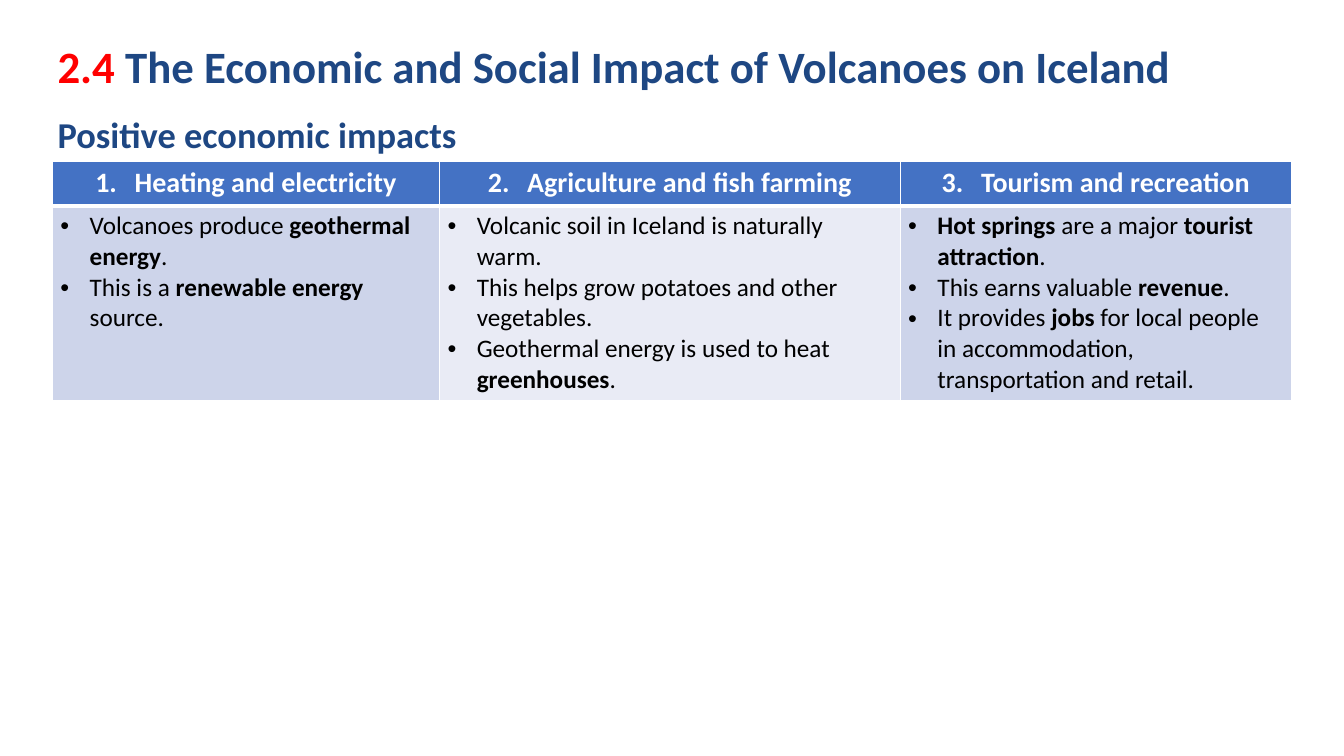
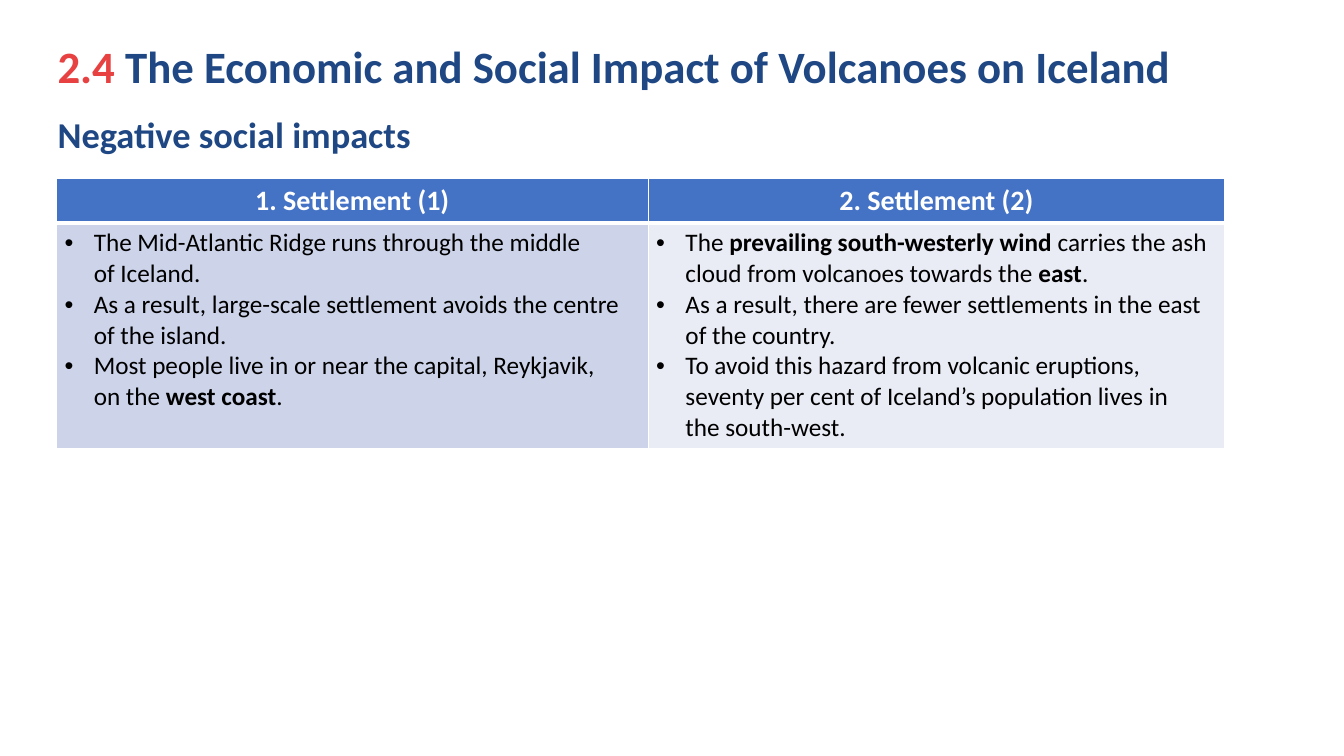
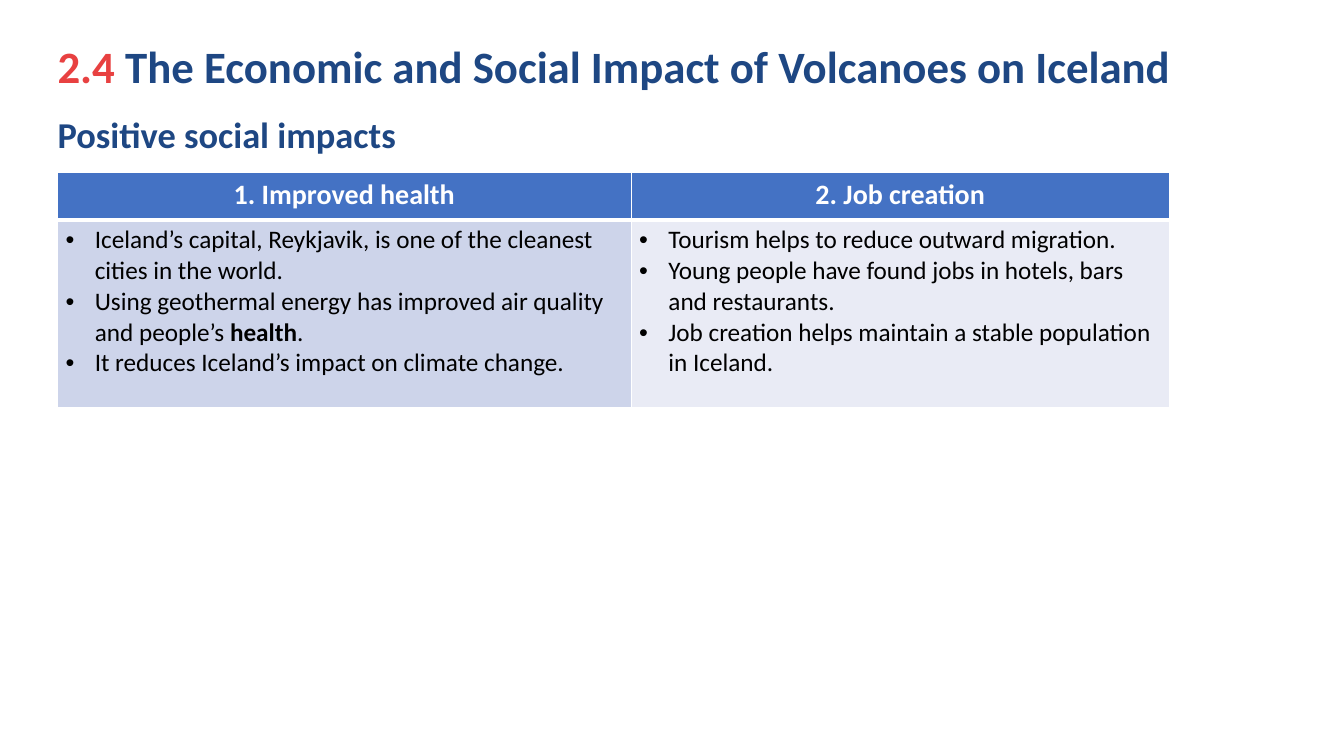
from lxml import etree
from pptx import Presentation
from pptx.dml.color import RGBColor
from pptx.enum.text import MSO_ANCHOR, MSO_AUTO_SIZE, PP_ALIGN
from pptx.oxml.ns import qn
from pptx.util import Inches, Pt

TOP = MSO_ANCHOR.TOP
NO_FIT = MSO_AUTO_SIZE.NONE
LEFT = PP_ALIGN.LEFT
CENTER = PP_ALIGN.CENTER

NAVY = RGBColor(0x1E, 0x47, 0x83)
RED = RGBColor(0xFF, 0x00, 0x00)
CORAL = RGBColor(0xE8, 0x41, 0x41)
BLUE = RGBColor(0x44, 0x72, 0xC4)
LILAC = RGBColor(0xCD, 0xD4, 0xEA)
PALE = RGBColor(0xE9, 0xEB, 0xF5)
WHITE = RGBColor(0xFF, 0xFF, 0xFF)
BLACK = RGBColor(0x00, 0x00, 0x00)

FONT = "Calibri"
SECTION = "2.4"
TOPIC = " The Economic and Social Impact of Volcanoes on Iceland"
THIN, THICK = 1, 3


class ImpactDeck:
    def __init__(self):
        self.deck = Presentation()
        self.deck.slide_width = Inches(13.33)
        self.deck.slide_height = Inches(7.5)
        self.page = None

    def across(self, percent):
        return round(self.deck.slide_width * percent / 100)

    def down(self, percent):
        return round(self.deck.slide_height * percent / 100)

    def add_page(self, subtitle, accent):
        self.page = self.deck.slides.add_slide(self.deck.slide_layouts[1])
        title = self.heading(self.page.shapes.title, 5.2, 8.6, 32)
        title.line_spacing = 0.9
        title.add_run().text = SECTION
        title.runs[0].font.color.rgb = accent
        title.add_run().text = TOPIC
        self.heading(self.page.placeholders[1], 14.13, 7.2, 26).add_run().text = subtitle

    def heading(self, box, top, height, size):
        box.left, box.top = self.across(3.53), self.down(top)
        box.width, box.height = self.across(90.55), self.down(height)
        frame = box.text_frame
        frame.auto_size = NO_FIT
        frame.vertical_anchor = TOP
        para = frame.paragraphs[0]
        para.alignment = LEFT
        para.space_before = Pt(0)
        self.indent(para, 0)
        self.style(para, size, NAVY, True)
        return para

    def indent(self, para, hang, bullet=None):
        props = para._p.get_or_add_pPr()
        props.set("marL", str(Inches(hang)))
        props.set("indent", str(-Inches(hang)))
        if bullet:
            etree.SubElement(props, qn("a:buFont"), typeface="Arial")
            etree.SubElement(props, qn("a:buChar"), char=bullet)
        else:
            etree.SubElement(props, qn("a:buNone"))

    def style(self, para, size, color, bold):
        para.font.name = FONT
        para.font.size = Pt(size)
        para.font.bold = bold
        para.font.color.rgb = color

    def table(self, left, top, widths, heights, columns):
        table = self.page.shapes.add_table(
            len(heights), len(widths), self.across(left), self.down(top),
            self.across(sum(widths)), self.down(sum(heights))).table
        for row, height in zip(table.rows, heights):
            row.height = self.down(height)
        for index, (width, (header, points)) in enumerate(zip(widths, columns)):
            table.columns[index].width = self.across(width)
            self.header_cell(table.cell(0, index), header)
            self.list_cell(table.cell(1, index), points, PALE if index % 2 else LILAC)

    def cell_box(self, cell, fill, above, below):
        cell.margin_left = cell.margin_right = Inches(0.08)
        cell.margin_top = cell.margin_bottom = Inches(0.05)
        props = cell._tc.get_or_add_tcPr()
        for side, width in zip("LRTB", (THIN, THIN, above, below)):
            line = etree.SubElement(props, qn(f"a:ln{side}"), w=str(Pt(width)))
            paint = etree.SubElement(line, qn("a:solidFill"))
            etree.SubElement(paint, qn("a:srgbClr"), val=str(WHITE))
        cell.fill.solid()
        cell.fill.fore_color.rgb = fill

    def header_cell(self, cell, text):
        self.cell_box(cell, BLUE, THIN, THICK)
        para = cell.text_frame.paragraphs[0]
        para.alignment = CENTER
        self.indent(para, 0.39)
        self.style(para, 20, WHITE, True)
        para.add_run().text = text

    def list_cell(self, cell, points, fill):
        self.cell_box(cell, fill, THICK, THIN)
        frame = cell.text_frame
        for index, point in enumerate(points):
            para = frame.add_paragraph() if index else frame.paragraphs[0]
            self.indent(para, 0.29, "•")
            self.style(para, 18, BLACK, False)
            self.spans(para, point)

    def spans(self, para, text):
        for index, part in enumerate(text.split("**")):
            for number, words in enumerate(part.split("\n")):
                if number:
                    para.add_line_break()
                if words:
                    span = para.add_run()
                    span.text = words
                    if index % 2:
                        span.font.bold = True


def main():
    show = ImpactDeck()

    show.add_page("Positive economic impacts", RED)
    show.table(3.9, 21.33, (28.8, 34.28, 29.1), (3.73, 24.13), (
        ("1.\tHeating and electricity", (
            "Volcanoes produce **geothermal energy**.",
            "This is a **renewable energy **source.")),
        ("2.\tAgriculture and fish farming", (
            "Volcanic soil in Iceland is naturally warm.",
            "This helps grow potatoes and other vegetables.",
            "Geothermal energy is used to heat **greenhouses**.")),
        ("3.\tTourism and recreation", (
            "**Hot springs **are a major **tourist attraction**.",
            "This earns valuable **revenue**.",
            "It provides **jobs** for local people in accommodation, "
            "transportation and retail.")),
    ))

    show.add_page("Negative social impacts", CORAL)
    show.table(4.2, 23.6, (44.03, 42.9), (4.93, 18.8), (
        ("1. Settlement (1)", (
            "The Mid-Atlantic Ridge runs through the middle \nof Iceland.",
            "As a result, large-scale settlement avoids the centre of the island.",
            "Most people live in or near the capital, Reykjavik, \n"
            "on the **west coast**.")),
        ("2. Settlement (2)", (
            "The **prevailing south-westerly wind **carries the ash cloud "
            "from volcanoes towards the **east**.",
            "As a result, there are fewer settlements in the east of the country.",
            "To avoid this hazard from volcanic eruptions, seventy per cent of "
            "Iceland’s population lives in \nthe south-west.")),
    ))

    show.add_page("Positive social impacts", CORAL)
    show.table(4.28, 22.8, (42.68, 40.05), (6.27, 24.8), (
        ("1. Improved health", (
            "Iceland’s capital, Reykjavik, is one of the cleanest cities in the world.",
            "Using geothermal energy has improved air quality and people’s **health**.",
            "It reduces Iceland’s impact on climate change.")),
        ("2. Job creation", (
            "Tourism helps to reduce outward migration.",
            "Young people have found jobs in hotels, bars and restaurants.",
            "Job creation helps maintain a stable population in Iceland.")),
    ))

    show.deck.save("out.pptx")


if __name__ == "__main__":
    main()
